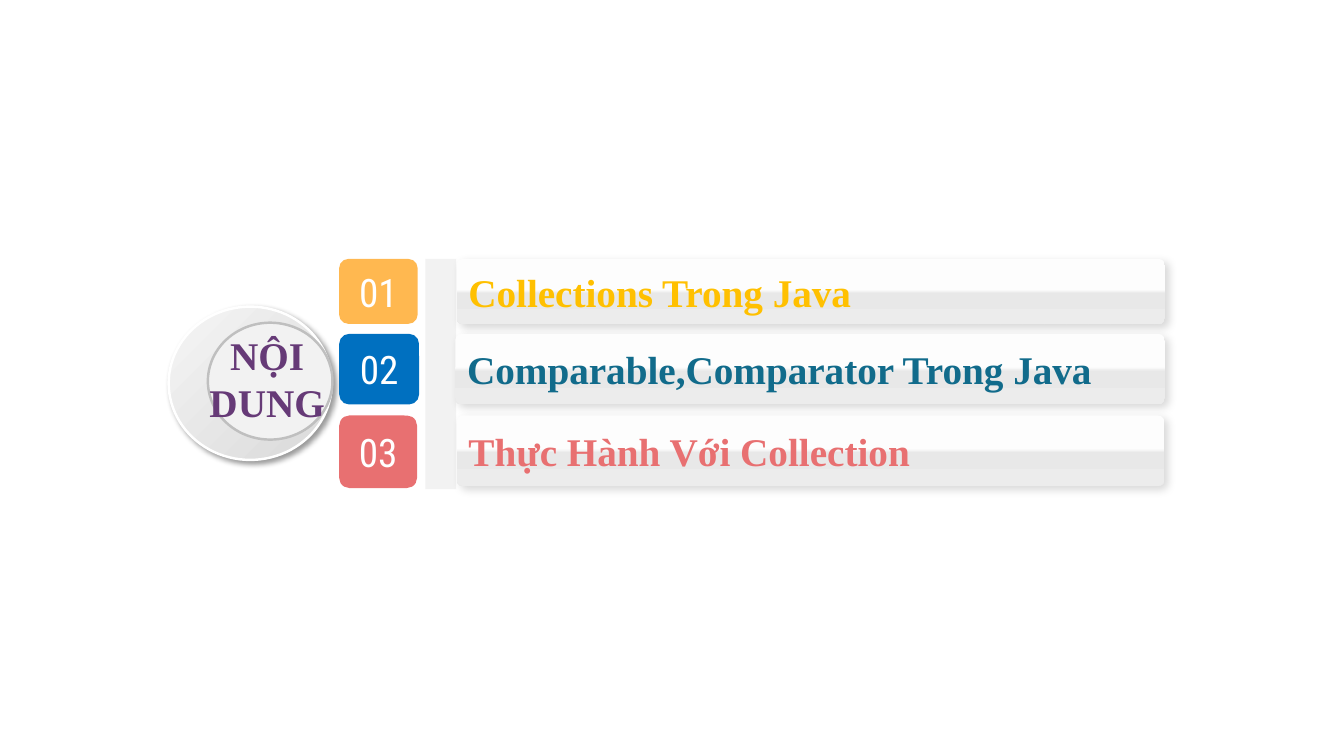
from lxml.etree import SubElement
from pptx import Presentation
from pptx.dml.color import RGBColor
from pptx.enum.shapes import MSO_SHAPE as Preset
from pptx.enum.text import MSO_ANCHOR as Anchor, PP_ALIGN as Align
from pptx.oxml.ns import qn
from pptx.util import Pt

SERIF = "Times New Roman"
CONDENSED = "Roboto Condensed"
BAR_STOPS = [(47, "FDFDFD"), (53, "E8E8E8"), (100, "ECECEC")]
DISC_STOPS = [(0, "F5F5F5"), (100, "D9D9D9")]
TOPICS = [
    ("01", "Collections Trong Java", "FFB850", "FFC000",
     (244, 185, 56, 46.3), (326.2, 185, 505.8, 46.6)),
    ("02", "Comparable,Comparator Trong Java", "0070C0", "116B8B",
     (242.3, 238.5, 57, 50.4), (325.2, 238.5, 506.8, 50.4)),
    ("03", "Thực Hành Với Collection", "E87071", "E87071",
     (242.3, 296.8, 55.6, 51.8), (326.2, 296.8, 505.6, 50.4)),
]


def rgb(value):
    return RGBColor.from_string(value)


def add_panel(slide, preset, box, fill=None, line=None, corner=None):
    panel = slide.shapes.add_shape(preset, *map(Pt, box))
    panel.shadow.inherit = False
    if corner is not None:
        panel.adjustments[0] = corner
    if fill:
        panel.fill.solid()
        panel.fill.fore_color.rgb = rgb(fill)
    if line:
        panel.line.color.rgb = rgb(line)
        panel.line.width = Pt(1.75)
    else:
        panel.line.fill.background()
    return panel


def set_gradient(panel, stops, angle):
    panel.fill.gradient()
    gradient = panel._element.spPr.find(qn("a:gradFill"))
    for child in list(gradient):
        gradient.remove(child)
    stop_list = SubElement(gradient, qn("a:gsLst"))
    for position, colour in stops:
        stop = SubElement(stop_list, qn("a:gs"), pos=str(position * 1000))
        SubElement(stop, qn("a:srgbClr"), val=colour)
    SubElement(gradient, qn("a:lin"), ang=str(angle * 60000), scaled="0")


def set_shadow(panel, opacity, blur, distance):
    effects = panel._element.spPr.find(qn("a:effectLst"))
    shadow = SubElement(effects, qn("a:outerShdw"), blurRad=str(Pt(blur)),
                        dist=str(Pt(distance)), dir="2700000",
                        algn="tl", rotWithShape="0")
    colour = SubElement(shadow, qn("a:srgbClr"), val="000000")
    SubElement(colour, qn("a:alpha"), val=str(opacity * 1000))


def write(holder, words, font, colour, align, anchor, bold=False):
    frame = holder.text_frame
    frame.word_wrap = True
    frame.vertical_anchor = anchor
    paragraph = frame.paragraphs[0]
    paragraph.text = words
    paragraph.alignment = align
    paragraph.font.name = font
    paragraph.font.size = Pt(28)
    paragraph.font.bold = bold
    paragraph.font.color.rgb = rgb(colour)


def add_title_disc(slide):
    disc = add_panel(slide, Preset.OVAL, (120.5, 219, 116.5, 109.5), line="FFFFFF")
    set_gradient(disc, DISC_STOPS, 45)
    set_shadow(disc, 40, 4, 3)
    add_panel(slide, Preset.OVAL, (148.5, 230.5, 89, 83.5), "F2F2F2", "BFBFBF")
    title = slide.shapes.add_textbox(*map(Pt, (132.5, 233.3, 116.6, 74.9)))
    write(title, "NỘI DUNG", SERIF, "663A77", Align.CENTER, Anchor.TOP, True)


def add_badge(slide, number, fill, box):
    badge = add_panel(slide, Preset.ROUNDED_RECTANGLE, box, fill, corner=0.139)
    write(badge, number, CONDENSED, "FFFFFF", Align.CENTER, Anchor.MIDDLE)


def add_bar(slide, topic, colour, box):
    bar = add_panel(slide, Preset.ROUNDED_RECTANGLE, box, corner=0.092)
    set_gradient(bar, BAR_STOPS, 90)
    set_shadow(bar, 14, 6, 3)
    write(bar, topic, SERIF, colour, Align.LEFT, Anchor.MIDDLE, True)


def main():
    deck = Presentation()
    deck.slide_width, deck.slide_height = Pt(960), Pt(540)
    slide = deck.slides.add_slide(deck.slide_layouts[6])
    add_title_disc(slide)
    add_panel(slide, Preset.RECTANGLE, (303.8, 185, 22, 164.5), "F2F2F2")
    for number, topic, fill, colour, badge_box, bar_box in TOPICS:
        add_badge(slide, number, fill, (242.3, *badge_box[1:]))
        add_bar(slide, topic, colour, bar_box)
    deck.save("out.pptx")


if __name__ == "__main__":
    main()
